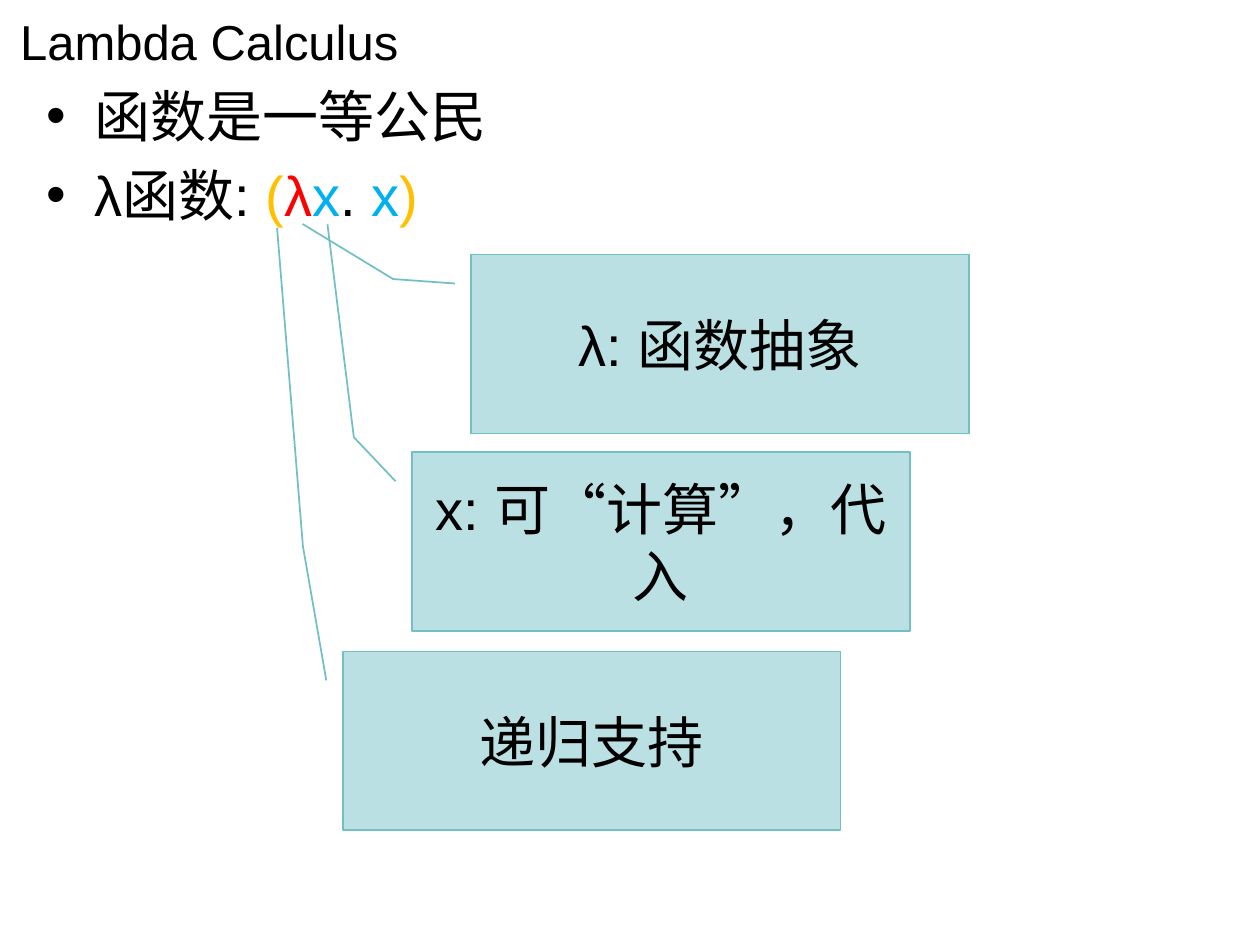
from lxml import etree
from pptx import Presentation
from pptx.dml.color import RGBColor
from pptx.enum.shapes import MSO_SHAPE
from pptx.enum.text import MSO_ANCHOR, PP_ALIGN
from pptx.oxml.ns import qn
from pptx.util import Inches, Pt

COLOURS = {
    "text": "000000",
    "bracket": "FFC000",
    "lambda": "FF0000",
    "variable": "00B0F0",
    "fill": "BBE0E3",
    "line": "72BFC5",
}
FONT = "Arial"
CALLOUT_SIZE = (3.95, 1.42)
POINTER_START = (0.162, -0.033)

BULLETS = [
    [("函数是一等公民", "text")],
    [("λ函数: ", "text"), ("(", "bracket"), ("λ", "lambda"), ("x", "variable"),
     (". ", "text"), ("x", "variable"), (")", "bracket")],
]

# Text, left, top, and the bend and tip of the pointer as (y, x) shares of the box
CALLOUTS = [
    ("λ: 函数抽象", 3.74, 2.02, (0.137, -0.157, -0.171, -0.339)),
    ("x: 可“计算”，代入", 3.27, 3.59, (-0.085, -0.117, -1.275, -0.17)),
    ("递归支持", 2.72, 5.17, (-0.587, -0.08, -2.368, -0.132)),
]


def colour(name):
    return RGBColor.from_string(COLOURS[name])


def add_span(para, text, size=32, color="text"):
    span = para.add_run()
    span.text = text
    span.font.name = FONT
    span.font.size = Pt(size)
    span.font.color.rgb = colour(color)


def add_text_box(page, left, top, width, height, anchor):
    box = page.shapes.add_textbox(Inches(left), Inches(top), Inches(width), Inches(height))
    frame = box.text_frame
    frame.word_wrap = True
    frame.vertical_anchor = anchor
    return frame


def set_bullet(para, indent):
    properties = para._p.get_or_add_pPr()
    properties.set("marL", str(Inches(indent)))
    properties.set("indent", str(-Inches(indent)))
    etree.SubElement(properties, qn("a:buFont")).set("typeface", FONT)
    etree.SubElement(properties, qn("a:buChar")).set("char", "•")


def add_title(page, left, top, width, height):
    para = add_text_box(page, left, top, width, height, MSO_ANCHOR.MIDDLE).paragraphs[0]
    para.alignment = PP_ALIGN.CENTER
    add_span(para, "Lambda Calculus", size=28)


def add_bullets(page, left, top, width, height):
    frame = add_text_box(page, left, top, width, height, MSO_ANCHOR.TOP)
    for index, spans in enumerate(BULLETS):
        para = frame.add_paragraph() if index else frame.paragraphs[0]
        para.space_before = Pt(6.4)
        set_bullet(para, 0.38)
        for text, color in spans:
            add_span(para, text, color=color)


def add_callout(page, text, left, top, pointer):
    width, height = CALLOUT_SIZE
    box = page.shapes.add_shape(MSO_SHAPE.LINE_CALLOUT_2, Inches(left), Inches(top),
                                Inches(width), Inches(height))
    for index, value in enumerate(POINTER_START + pointer):
        box.adjustments[index] = value
    box.shadow.inherit = False
    box.fill.solid()
    box.fill.fore_color.rgb = colour("fill")
    box.line.color.rgb = colour("line")
    box.line.width = Pt(1)
    frame = box.text_frame
    frame.word_wrap = True
    frame.vertical_anchor = MSO_ANCHOR.MIDDLE
    para = frame.paragraphs[0]
    para.alignment = PP_ALIGN.CENTER
    add_span(para, text)


def main():
    deck = Presentation()
    deck.slide_width, deck.slide_height = Inches(10), Inches(7.5)
    page = deck.slides.add_slide(deck.slide_layouts[6])

    # Heading and bullet list
    add_title(page, -0.12, 0.05, 3.56, 0.55)
    add_bullets(page, 0.27, 0.6, 9, 4.95)

    # Callouts explaining the lambda expression
    for callout in CALLOUTS:
        add_callout(page, *callout)

    deck.save("out.pptx")


if __name__ == "__main__":
    main()
